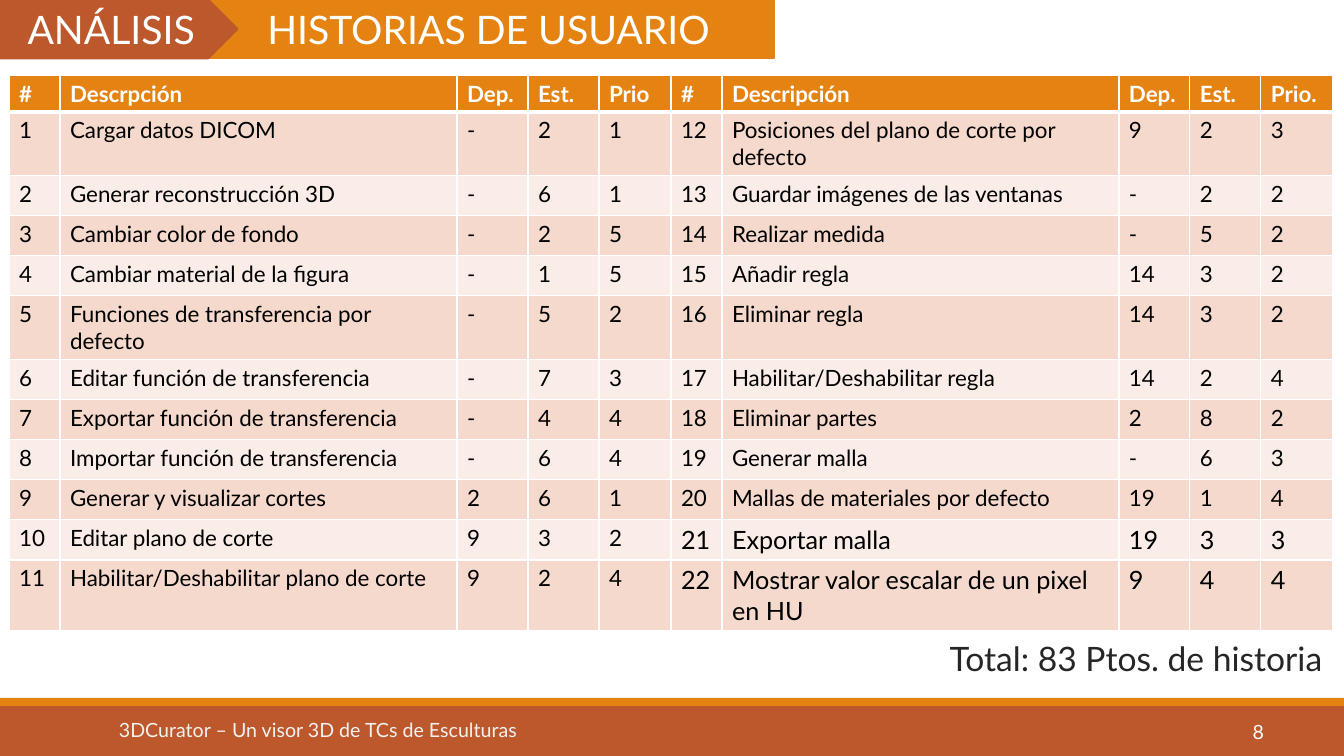
from lxml.etree import SubElement
from pptx import Presentation
from pptx.dml.color import RGBColor
from pptx.enum.shapes import MSO_SHAPE
from pptx.enum.text import MSO_ANCHOR, MSO_AUTO_SIZE, PP_ALIGN
from pptx.oxml.ns import qn
from pptx.util import Pt

PX = 12192000 / 1344
RUST, GOLD, WHITE = "BD582C", "E48312", "FFFFFF"
BANDS = ["F5D9CC", "FAEDE7"]


def paint(target, shade):
    """Give a fill, or the fill of a line, one solid colour."""
    target.solid()
    target.fore_color.rgb = RGBColor.from_string(shade)


def write(frame, text, size, shade, align=PP_ALIGN.LEFT, bold=False):
    frame.text = text
    para = frame.paragraphs[0]
    para.alignment = align
    font = para.runs[0].font
    for name, value in {"name": "Lato", "size": Pt(size), "bold": bold}.items():
        setattr(font, name, value)
    paint(font.fill, shade)


deck = Presentation()
deck.slide_width, deck.slide_height = round(1344 * PX), round(756 * PX)
slide = deck.slides.add_slide(deck.slide_layouts[5])
shapes = slide.shapes

# Footer bars
for top, height, shade in [(706, 50, RUST), (698, 8, GOLD)]:
    bar = shapes.add_shape(MSO_SHAPE.RECTANGLE, 0, round(top * PX),
                           deck.slide_width, round(height * PX))
    bar.shadow.inherit = False
    paint(bar.fill, shade)
    bar.line.fill.background()

# Heading arrows: the title sits behind the section tag
title = shapes.title
place = {"left": 203, "top": 0, "width": 571, "height": 58}
for name, value in place.items():
    setattr(title, name, round(value * PX))
SubElement(SubElement(title.element.spPr, qn("a:prstGeom"), prst="homePlate"),
           qn("a:avLst"))
tag = shapes.add_shape(MSO_SHAPE.PENTAGON, 0, 0, round(237 * PX), round(58 * PX))
tag.shadow.inherit = False
for arrow, text, shade in [(title, "HISTORIAS DE USUARIO", GOLD),
                           (tag, "ANÁLISIS", RUST)]:
    paint(arrow.fill, shade)
    paint(arrow.line.fill, shade)
    arrow.line.width = Pt(2)
    frame = arrow.text_frame
    write(frame, text, 28, WHITE, PP_ALIGN.CENTER)
    look = {"word_wrap": True, "auto_size": MSO_AUTO_SIZE.NONE,
            "vertical_anchor": MSO_ANCHOR.MIDDLE}
    for name, value in look.items():
        setattr(frame, name, value)

# User stories, two per row
head = ["#", "Descrpción", "Dep.", "Est.", "Prio",
        "#", "Descripción", "Dep.", "Est.", "Prio."]
tales = [
    ("Cargar datos DICOM", "-", 2, 1),
    ("Generar reconstrucción 3D", "-", 6, 1),
    ("Cambiar color de fondo", "-", 2, 5),
    ("Cambiar material de la figura", "-", 1, 5),
    ("Funciones de transferencia por defecto", "-", 5, 2),
    ("Editar función de transferencia", "-", 7, 3),
    ("Exportar función de transferencia", "-", 4, 4),
    ("Importar función de transferencia", "-", 6, 4),
    ("Generar y visualizar cortes", 2, 6, 1),
    ("Editar plano de corte", 9, 3, 2),
    ("Habilitar/Deshabilitar plano de corte", 9, 2, 4),
    ("Posiciones del plano de corte por defecto", 9, 2, 3),
    ("Guardar imágenes de las ventanas", "-", 2, 2),
    ("Realizar medida", "-", 5, 2),
    ("Añadir regla", 14, 3, 2),
    ("Eliminar regla", 14, 3, 2),
    ("Habilitar/Deshabilitar regla", 14, 2, 4),
    ("Eliminar partes", 2, 8, 2),
    ("Generar malla", "-", 6, 3),
    ("Mallas de materiales por defecto", 19, 1, 4),
    ("Exportar malla", 19, 3, 3),
    ("Mostrar valor escalar de un pixel en HU", 9, 4, 4),
]
half = len(tales) // 2
listed = [(num, *tale) for num, tale in enumerate(tales, 1)]
rows = [head] + [a + b for a, b in zip(listed[:half], listed[half:])]
wide = [51, 397, 71, 71, 72] * 2
high = [36, 64, 40, 40, 40, 64, 40, 40, 40, 40, 40, 71]

table = shapes.add_table(len(rows), len(head), round(9 * PX), round(75 * PX),
                         round(sum(wide) * PX), round(sum(high) * PX)).table
for col, width in zip(table.columns, wide):
    col.width = round(width * PX)
for r, (row, height) in enumerate(zip(rows, high)):
    table.rows[r].height = round(height * PX)
    for c, value in enumerate(row):
        cell = table.cell(r, c)
        top = r == 0
        size = 18 if r >= half - 1 and r > 0 and c >= 5 else 16
        write(cell.text_frame, str(value), size,
              WHITE if top else "000000", bold=top)
        edges = {"lnL": 1, "lnR": 1, "lnT": 3 if r == 1 else 1,
                 "lnB": 3 if top else 1}
        for edge, width in edges.items():
            line = SubElement(cell._tc.get_or_add_tcPr(), qn("a:" + edge),
                              w=str(Pt(width)))
            SubElement(SubElement(line, qn("a:solidFill")),
                       qn("a:srgbClr"), val=WHITE)
        paint(cell.fill, GOLD if top else BANDS[(r - 1) % 2])

# Total and footer text
for left, top, width, height, text, size, shade, align, anchor in [
    (8, 633, 1324, 51, "Total: 83 Ptos. de historia", 24, "262626",
     PP_ALIGN.RIGHT, MSO_ANCHOR.TOP),
    (109, 713, 552, 34, "3DCurator – Un visor 3D de TCs de Esculturas", 14,
     "F2F2F2", PP_ALIGN.LEFT, MSO_ANCHOR.TOP),
    (1130, 712, 144, 40, "8", 14, WHITE, PP_ALIGN.RIGHT, MSO_ANCHOR.MIDDLE),
]:
    box = shapes.add_textbox(*[round(v * PX) for v in (left, top, width, height)])
    box.text_frame.word_wrap = True
    box.text_frame.vertical_anchor = anchor
    write(box.text_frame, text, size, shade, align)

deck.save("out.pptx")
